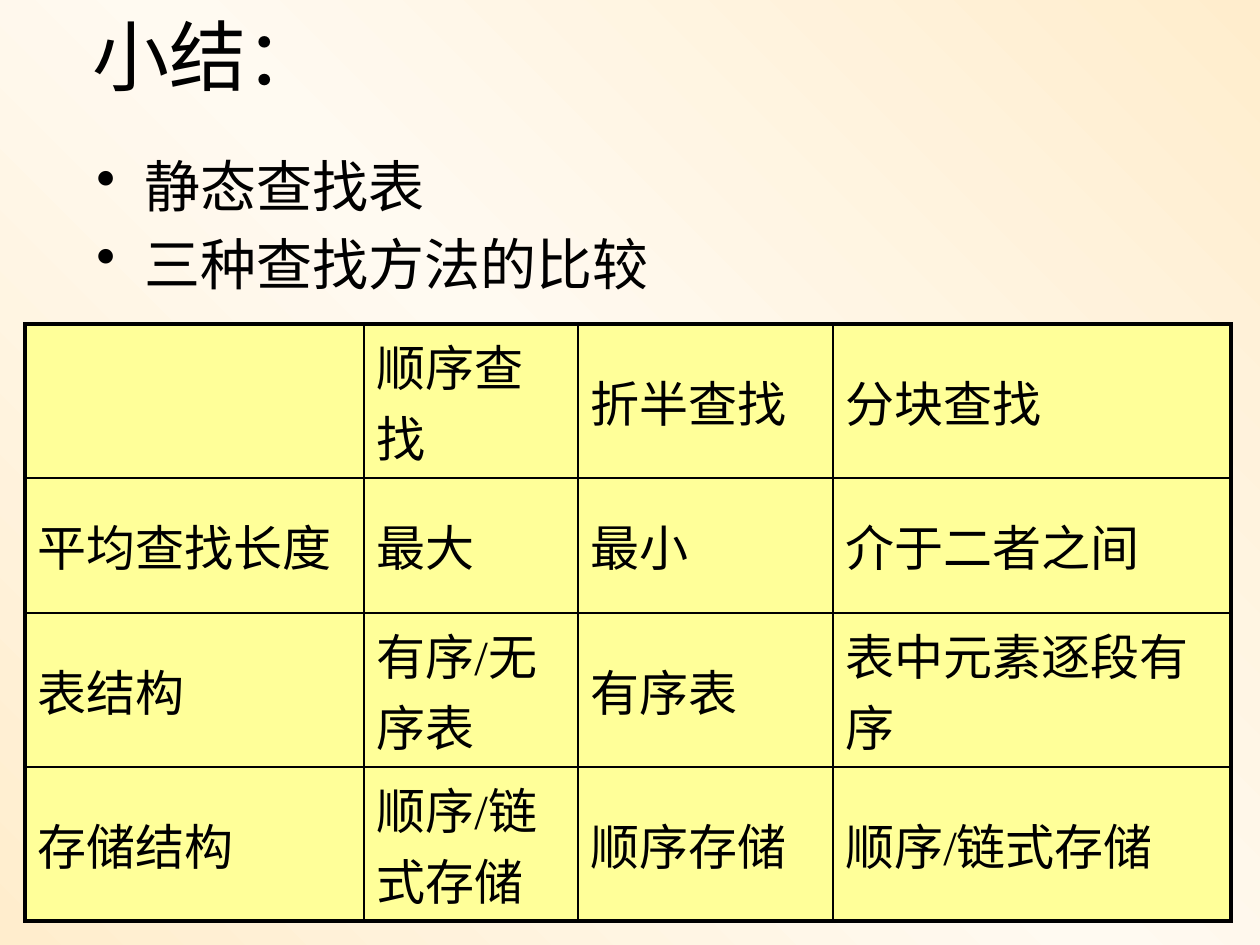
from copy import deepcopy
from dataclasses import dataclass

from pptx import Presentation, util as u
from pptx.dml.color import RGBColor
from pptx.enum import text
from pptx.oxml import parse_xml
from pptx.oxml.ns import nsdecls


@dataclass(frozen=True)
class Theme:
    font: str = "Times New Roman"
    ink: str = "000000"
    cell: str = "FFFF99"
    background: tuple = ((0, "FFEDCD"), (0.5, "FFFAF1"), (1, "FFEDCD"))
    title_size: int = 44
    bullet_size: int = 32
    bullet_gap: float = 6.4
    table_size: int = 28
    outer_line: float = 2.25
    inner_line: float = 1


THEME = Theme()
TITLE = "小结："
BULLETS = ["静态查找表", "三种查找方法的比较"]
ROWS = [
    ["", "顺序查找", "折半查找", "分块查找"],
    ["平均查找长度", "最大", "最小", "介于二者之间"],
    ["表结构", "有序/无序表", "有序表", "表中元素逐段有序"],
    ["存储结构", "顺序/链式存储", "顺序存储", "顺序/链式存储"],
]
SLIDE_SIZE = (1260, 945)
TITLE_BOX = (44, -24, 1071, 158)
TITLE_INSET = 48
BULLET_BOX = (84, 145, 794, 169)
BULLET_INDENT = 48
TABLE_ORIGIN = (25, 324)
COLUMN_WIDTHS = [339, 214, 255, 398]
ROW_HEIGHTS = [154, 135, 154, 154]


def px(length):
    return u.Emu(round(length * 914400 / 126))


def add_run(paragraph, words, size):
    run = paragraph.add_run()
    run.text = words
    run.font.name = THEME.font
    run.font.size = u.Pt(size)
    run.font.color.rgb = RGBColor.from_string(THEME.ink)


def paint_background(slide):
    fill = slide.background.fill
    fill.gradient()
    fill.gradient_angle = 45
    stop_list = slide.element.xpath(".//a:gsLst")[0]
    stop_list.append(deepcopy(stop_list[-1]))
    for stop, (position, color) in zip(fill.gradient_stops, THEME.background):
        stop.position = position
        stop.color.rgb = RGBColor.from_string(color)


def set_title(slide):
    title = slide.shapes.title
    title.left, title.top, title.width, title.height = map(px, TITLE_BOX)
    frame = title.text_frame
    frame.auto_size = text.MSO_AUTO_SIZE.NONE
    frame.vertical_anchor = text.MSO_ANCHOR.MIDDLE
    frame.margin_left = px(TITLE_INSET)
    paragraph = frame.paragraphs[0]
    paragraph.alignment = text.PP_ALIGN.LEFT
    add_run(paragraph, TITLE, THEME.title_size)


def add_bullets(slide):
    frame = slide.shapes.add_textbox(*map(px, BULLET_BOX)).text_frame
    frame.word_wrap = True
    for index, words in enumerate(BULLETS):
        paragraph = frame.add_paragraph() if index else frame.paragraphs[0]
        paragraph.space_before = u.Pt(THEME.bullet_gap)
        add_run(paragraph, words, THEME.bullet_size)
        properties = paragraph._p.get_or_add_pPr()
        properties.set("marL", str(px(BULLET_INDENT)))
        properties.set("indent", str(-px(BULLET_INDENT)))
        properties.append(parse_xml(f'<a:buChar {nsdecls("a")} char="•"/>'))


def set_borders(cell, outer_sides):
    properties = cell._tc.get_or_add_tcPr()
    for index, side in enumerate("LRTB"):
        points = THEME.outer_line if side in outer_sides else THEME.inner_line
        properties.insert(index, parse_xml(
            f'<a:ln{side} {nsdecls("a")} w="{u.Pt(points)}"><a:solidFill>'
            f'<a:srgbClr val="{THEME.ink}"/></a:solidFill></a:ln{side}>'))


def add_comparison_table(slide):
    last_row, last_column = len(ROWS) - 1, len(COLUMN_WIDTHS) - 1
    size = (sum(COLUMN_WIDTHS), sum(ROW_HEIGHTS))
    table = slide.shapes.add_table(
        len(ROWS), len(COLUMN_WIDTHS), *map(px, TABLE_ORIGIN + size)).table
    table.first_row = table.horz_banding = False
    for column, width in zip(table.columns, COLUMN_WIDTHS):
        column.width = px(width)
    for row, height in zip(table.rows, ROW_HEIGHTS):
        row.height = px(height)
    for row, values in enumerate(ROWS):
        for column, words in enumerate(values):
            cell = table.cell(row, column)
            cell.vertical_anchor = text.MSO_ANCHOR.MIDDLE
            cell.fill.solid()
            cell.fill.fore_color.rgb = RGBColor.from_string(THEME.cell)
            edges = {"L": column == 0, "R": column == last_column,
                     "T": row == 0, "B": row == last_row}
            set_borders(cell, [side for side, outer in edges.items() if outer])
            if words:
                add_run(cell.text_frame.paragraphs[0], words, THEME.table_size)


def main():
    presentation = Presentation()
    presentation.slide_width, presentation.slide_height = map(px, SLIDE_SIZE)
    slide = presentation.slides.add_slide(presentation.slide_layouts[5])
    paint_background(slide)
    set_title(slide)
    add_bullets(slide)
    add_comparison_table(slide)
    presentation.save("out.pptx")


if __name__ == "__main__":
    main()
